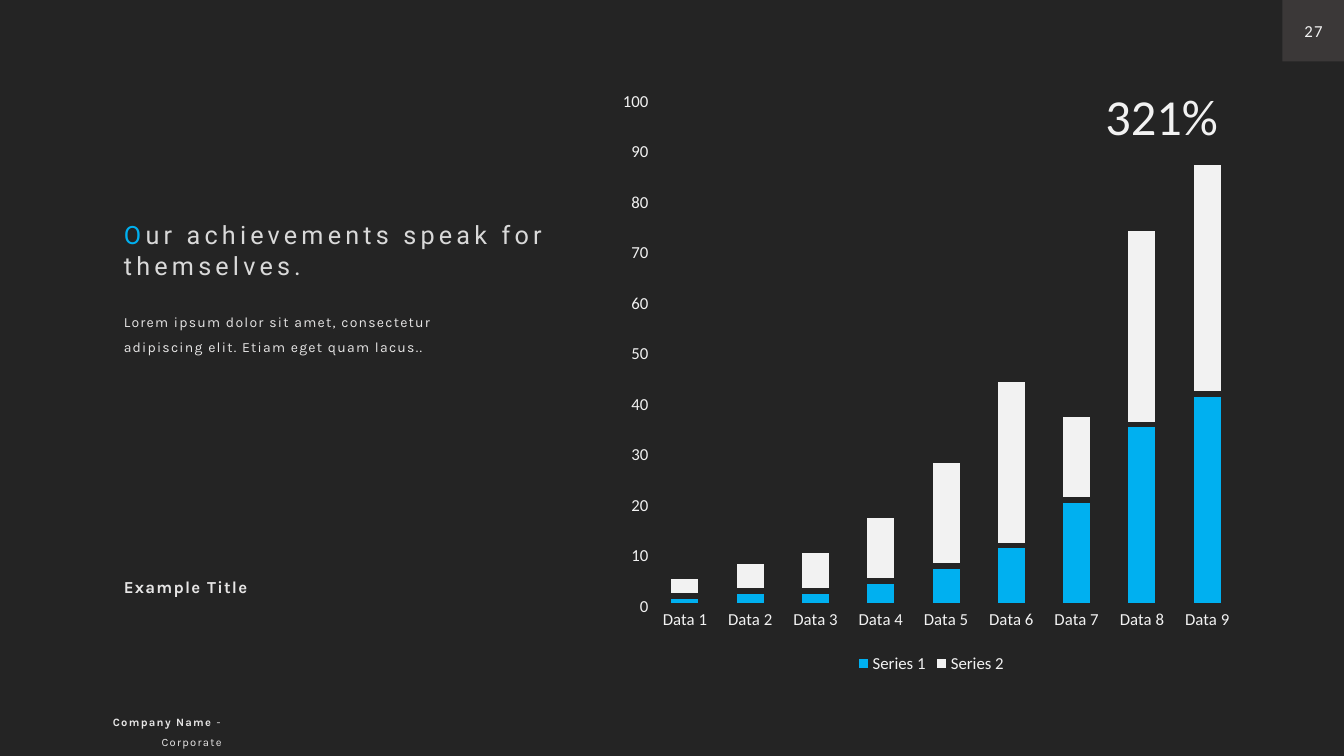
from pptx import Presentation
from pptx.chart.data import CategoryChartData
from pptx.dml.color import RGBColor
from pptx.enum.chart import XL_CHART_TYPE as ChartType, XL_LEGEND_POSITION as LegendPos
from pptx.enum.chart import XL_TICK_MARK as TickMark
from pptx.enum.shapes import MSO_SHAPE as Shape
from pptx.enum.text import MSO_ANCHOR as Anchor, MSO_AUTO_SIZE as AutoSize, PP_ALIGN as Align
from pptx.util import Cm, Pt

DARK, LIGHT, BLUE = "242424", "F2F2F2", "00B0F0"
HEADING, BODY, BADGE = "D9D9D9", "E7E6E6", "3B3838"


def rgb(hex_color):
    return RGBColor.from_string(hex_color)


def box(shapes, left, top, width, height):
    return shapes.add_textbox(Cm(left), Cm(top), Cm(width), Cm(height))


def style_font(font, size, color, name, bold=False):
    font.size, font.name, font.bold = Pt(size), name, bold
    font.color.rgb = rgb(color)


def write(s, runs, size, font, align=Align.LEFT, anchor=Anchor.TOP,
          wrap=True, line=1.0, spacing=0):
    """Fill a shape with one paragraph; runs are (text, color, bold)."""
    tf = s.text_frame
    tf.word_wrap = wrap
    tf.auto_size = AutoSize.SHAPE_TO_FIT_TEXT
    tf.vertical_anchor = anchor
    p = tf.paragraphs[0]
    p.alignment, p.line_spacing = align, line
    for text, color, bold in runs:
        r = p.add_run()
        r.text = text
        style_font(r.font, size, color, font, bold)
        if spacing:
            r.font._element.set("spc", str(round(spacing * 100)))


def add_heading(s):
    s.left, s.top, s.width, s.height = Cm(2.87), Cm(5.41), Cm(11.35), Cm(1.8)
    write(s, [("O", BLUE, False),
              ("ur achievements speak for themselves.", HEADING, False)],
          18, "Roboto", spacing=3)


def style_axis(axis):
    axis.major_tick_mark = axis.minor_tick_mark = TickMark.NONE
    axis.has_major_gridlines = False
    axis.format.line.fill.background()
    style_font(axis.tick_labels.font, 12, LIGHT, "Calibri")


def add_growth_chart(shapes):
    data = CategoryChartData()
    data.categories = [f"Data {n}" for n in range(1, 10)]
    data.add_series("Series 1", (2, 3, 3, 5, 8, 12, 21, 36, 42))
    data.add_series("Series 2", (4, 6, 8, 13, 21, 33, 17, 39, 46))
    chart = shapes.add_chart(ChartType.COLUMN_STACKED, Cm(15.37), Cm(2.01),
                             Cm(16.2), Cm(15.06), data).chart
    chart.has_title = False
    style_font(chart.font, 10, LIGHT, "Calibri")

    # Axes and legend
    style_axis(chart.category_axis)
    style_axis(chart.value_axis)
    chart.value_axis.minimum_scale, chart.value_axis.maximum_scale = 0, 100
    chart.value_axis.major_unit = 10
    chart.has_legend = True
    chart.legend.position = LegendPos.BOTTOM
    chart.legend.include_in_layout = False
    style_font(chart.legend.font, 12, LIGHT, "Calibri")

    # Bars, parted by outlines in the background colour
    plot = chart.plots[0]
    plot.gap_width, plot.overlap, plot.vary_by_categories = 100, 100, False
    for series, color in zip(plot.series, (BLUE, LIGHT)):
        series.format.fill.solid()
        series.format.fill.fore_color.rgb = rgb(color)
        series.format.line.color.rgb = rgb(DARK)
        series.format.line.width = Pt(4)


def add_page_number(shapes):
    side = 1.55
    s = shapes.add_shape(Shape.RECTANGLE, Cm(33.87 - side), 0, Cm(side), Cm(side))
    s.shadow.inherit = False
    s.fill.solid()
    s.fill.fore_color.rgb = rgb(BADGE)
    s.line.fill.background()
    write(box(shapes, 32.59, 0.38, 1.02, 0.77), [("27", LIGHT, False)], 12, "Calibri",
          Align.CENTER, Anchor.MIDDLE, wrap=False, spacing=0.9)


def main():
    prs = Presentation()
    prs.slide_width, prs.slide_height = Cm(33.87), Cm(19.05)
    slide = prs.slides.add_slide(prs.slide_layouts[5])
    slide.background.fill.solid()
    slide.background.fill.fore_color.rgb = rgb(DARK)
    shapes = slide.shapes

    # Chart with its headline figure
    add_growth_chart(shapes)
    write(box(shapes, 27.61, 2.01, 3.96, 1.8), [("321%", LIGHT, False)],
          36, "Calibri", wrap=False)

    # Left column
    add_heading(shapes.title)
    write(box(shapes, 2.87, 7.57, 9.07, 1.45),
          [("Lorem ipsum dolor sit amet, consectetur adipiscing elit. "
            "Etiam eget quam lacus..", BODY, False)],
          10, "Karla", line=1.5, spacing=0.9)
    write(box(shapes, 2.87, 14.15, 5.46, 0.94), [("Example Title", BODY, True)],
          12, "Karla", line=1.5, spacing=0.9)

    # Page number and footer
    add_page_number(shapes)
    write(box(shapes, 1.19, 17.73, 4.65, 0.71),
          [("Company Name ", BODY, True), ("- Corporate", BODY, False)],
          8, "Karla", Align.RIGHT, line=1.5, spacing=0.9)

    prs.save("out.pptx")


if __name__ == "__main__":
    main()
